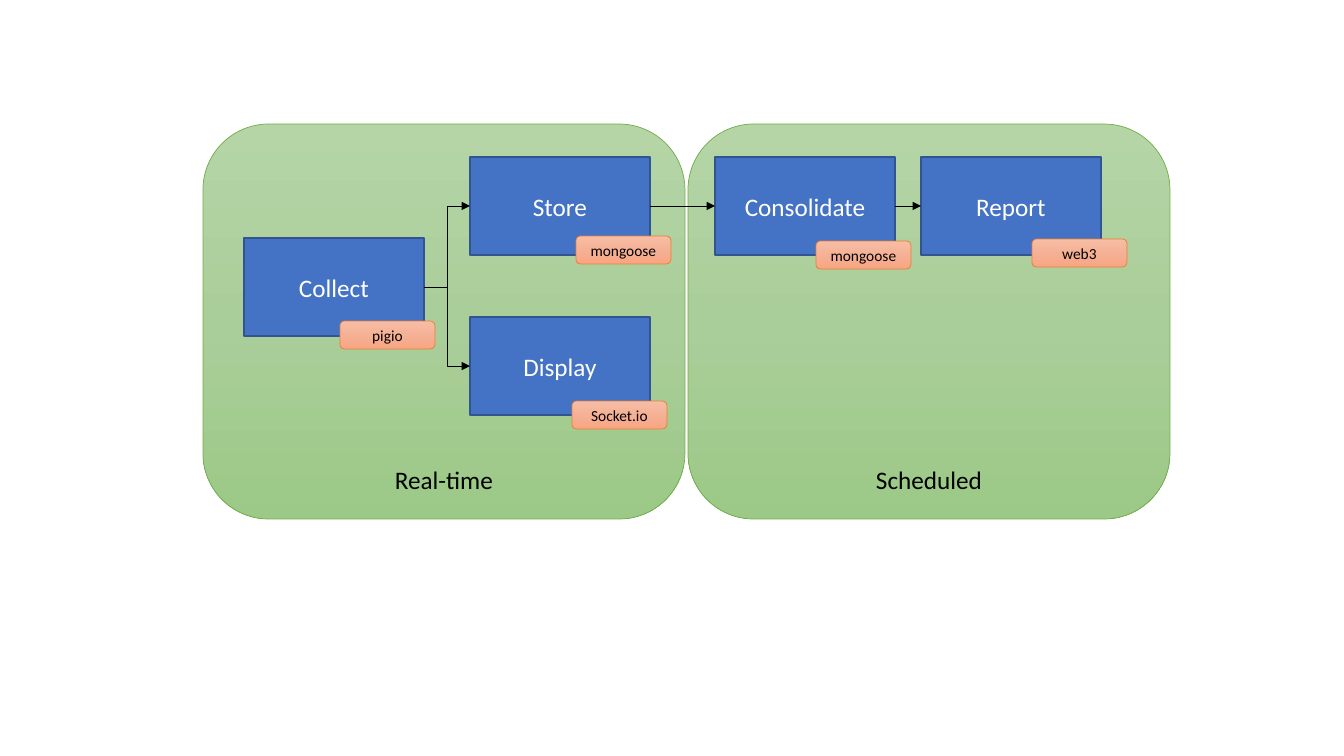
from copy import deepcopy
from dataclasses import dataclass

from lxml.etree import SubElement
from pptx import Presentation
from pptx.dml.color import RGBColor
from pptx.enum.shapes import MSO_CONNECTOR as Connector, MSO_SHAPE as Preset
from pptx.enum.text import MSO_ANCHOR as Anchor, PP_ALIGN as Align
from pptx.oxml.ns import qn
from pptx.shapes.autoshape import Shape
from pptx.slide import Slide
from pptx.util import Pt

EMU_PER_PIXEL = 914400 / 100.8
FONT = "Calibri"
RIGHT_SITE, LEFT_SITE = 3, 1

BLACK = RGBColor(0x00, 0x00, 0x00)
WHITE = RGBColor(0xFF, 0xFF, 0xFF)
BLUE = RGBColor(0x44, 0x72, 0xC4)
DARK_BLUE = RGBColor(0x32, 0x54, 0x91)
GREEN = RGBColor(0x70, 0xAD, 0x47)
ORANGE = RGBColor(0xED, 0x7D, 0x31)
GREEN_SHADES = (RGBColor(0xB5, 0xD5, 0xA7), RGBColor(0xAA, 0xCE, 0x9A), RGBColor(0x9C, 0xC9, 0x87))
ORANGE_SHADES = (RGBColor(0xF7, 0xBD, 0xA5), RGBColor(0xF5, 0xB1, 0x96), RGBColor(0xF8, 0xA5, 0x82))


@dataclass(frozen=True)
class Style:
    preset: Preset
    width: int
    height: int
    shades: tuple[RGBColor, ...]
    line: RGBColor
    line_width: float
    font_color: RGBColor
    font_size: int
    anchor: Anchor = Anchor.MIDDLE


@dataclass(frozen=True)
class Item:
    text: str
    left: int
    top: int


PANEL = Style(Preset.ROUNDED_RECTANGLE, 482, 395, GREEN_SHADES, GREEN, 0.5, BLACK, 18, Anchor.BOTTOM)
STEP = Style(Preset.RECTANGLE, 180, 98, (BLUE,), DARK_BLUE, 1, WHITE, 18)
LIBRARY = Style(Preset.ROUNDED_RECTANGLE, 95, 28, ORANGE_SHADES, ORANGE, 0.5, BLACK, 11)

PANELS = (Item("Scheduled", 688, 124), Item("Real-time", 203, 124))
STEPS = (
    Item("Collect", 244, 238),
    Item("Store", 470, 157),
    Item("Display", 470, 317),
    Item("Consolidate", 715, 157),
    Item("Report", 921, 157),
)
FLOWS = (
    ("Collect", "Store", Connector.ELBOW),
    ("Collect", "Display", Connector.ELBOW),
    ("Store", "Consolidate", Connector.STRAIGHT),
    ("Consolidate", "Report", Connector.STRAIGHT),
)
LIBRARIES = (
    Item("pigio", 340, 321),
    Item("Socket.io", 572, 401),
    Item("mongoose", 576, 236),
    Item("mongoose", 816, 241),
    Item("web3", 1032, 239),
)


def px(pixels: int) -> int:
    return round(pixels * EMU_PER_PIXEL)


def fill_shape(shape: Shape, shades: tuple[RGBColor, ...]) -> None:
    """Fill with one solid colour, or with three shades from top to bottom."""
    fill = shape.fill
    if len(shades) == 1:
        fill.solid()
        fill.fore_color.rgb = shades[0]
        return
    fill.gradient()
    fill.gradient_angle = 270
    stop_list = shape._element.spPr.find(".//" + qn("a:gsLst"))
    stop_list.insert(1, deepcopy(stop_list[0]))
    for index, (stop, shade) in enumerate(zip(fill.gradient_stops, shades)):
        stop.position = index / 2
        stop.color.rgb = shade


def draw_item(slide: Slide, item: Item, style: Style) -> Shape:
    shape = slide.shapes.add_shape(
        style.preset, px(item.left), px(item.top), px(style.width), px(style.height)
    )
    shape.shadow.inherit = False
    fill_shape(shape, style.shades)
    shape.line.color.rgb = style.line
    shape.line.width = Pt(style.line_width)

    text_frame = shape.text_frame
    text_frame.text = item.text
    text_frame.word_wrap = True
    text_frame.vertical_anchor = style.anchor
    paragraph = text_frame.paragraphs[0]
    paragraph.alignment = Align.CENTER
    font = paragraph.runs[0].font
    font.name = FONT
    font.size = Pt(style.font_size)
    font.color.rgb = style.font_color
    return shape


def draw_flow(slide: Slide, source: Shape, target: Shape, kind: Connector) -> None:
    connector = slide.shapes.add_connector(kind, 0, 0, 0, 0)
    connector.begin_connect(source, RIGHT_SITE)
    connector.end_connect(target, LEFT_SITE)
    connector.line.color.rgb = BLACK
    connector.line.width = Pt(0.5)
    properties = connector._element.spPr
    SubElement(properties.find(qn("a:ln")), qn("a:tailEnd"), type="triangle")
    SubElement(properties, qn("a:effectLst"))


presentation = Presentation()
presentation.slide_width = px(1344)
presentation.slide_height = px(756)
slide = presentation.slides.add_slide(presentation.slide_layouts[6])

# Background panels
for panel in PANELS:
    draw_item(slide, panel, PANEL)

# Process steps and the flows between them
steps = {step.text: draw_item(slide, step, STEP) for step in STEPS}
for source, target, kind in FLOWS:
    draw_flow(slide, steps[source], steps[target], kind)

# Library labels on the steps
for library in LIBRARIES:
    draw_item(slide, library, LIBRARY)

presentation.save("out.pptx")
